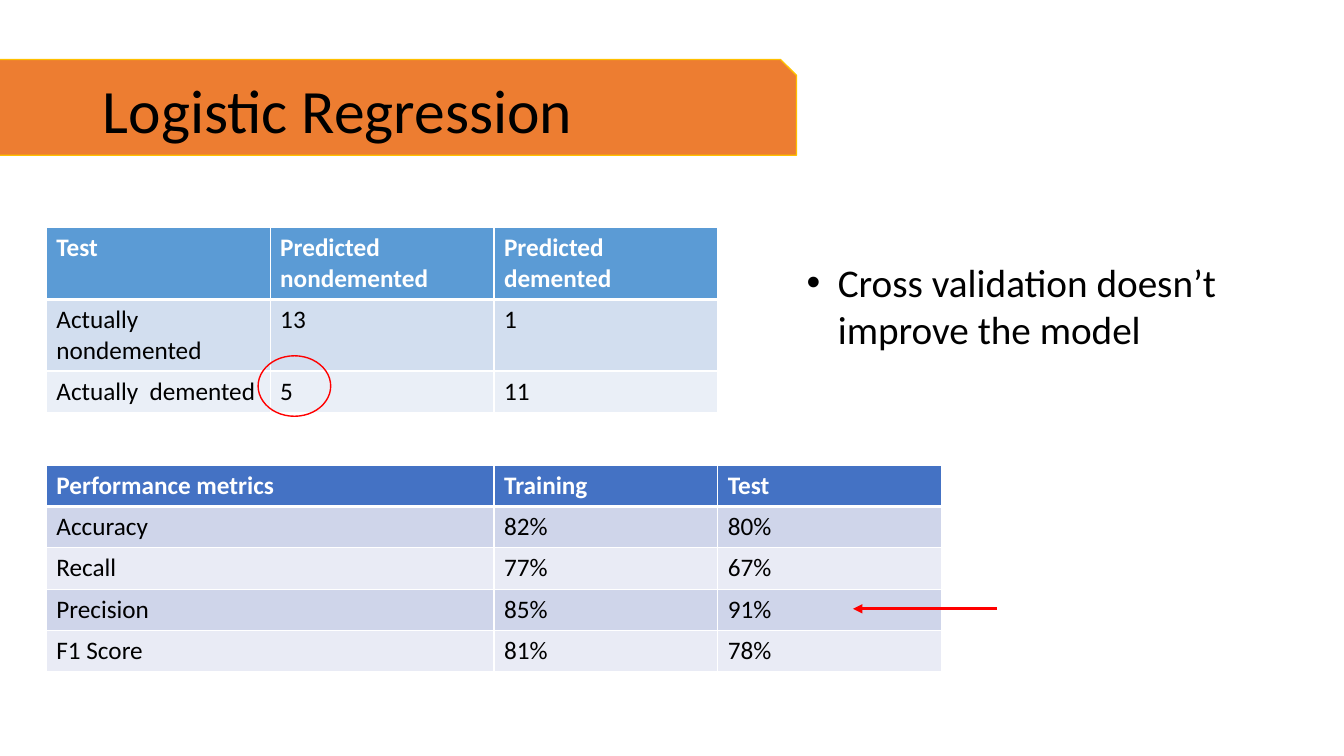
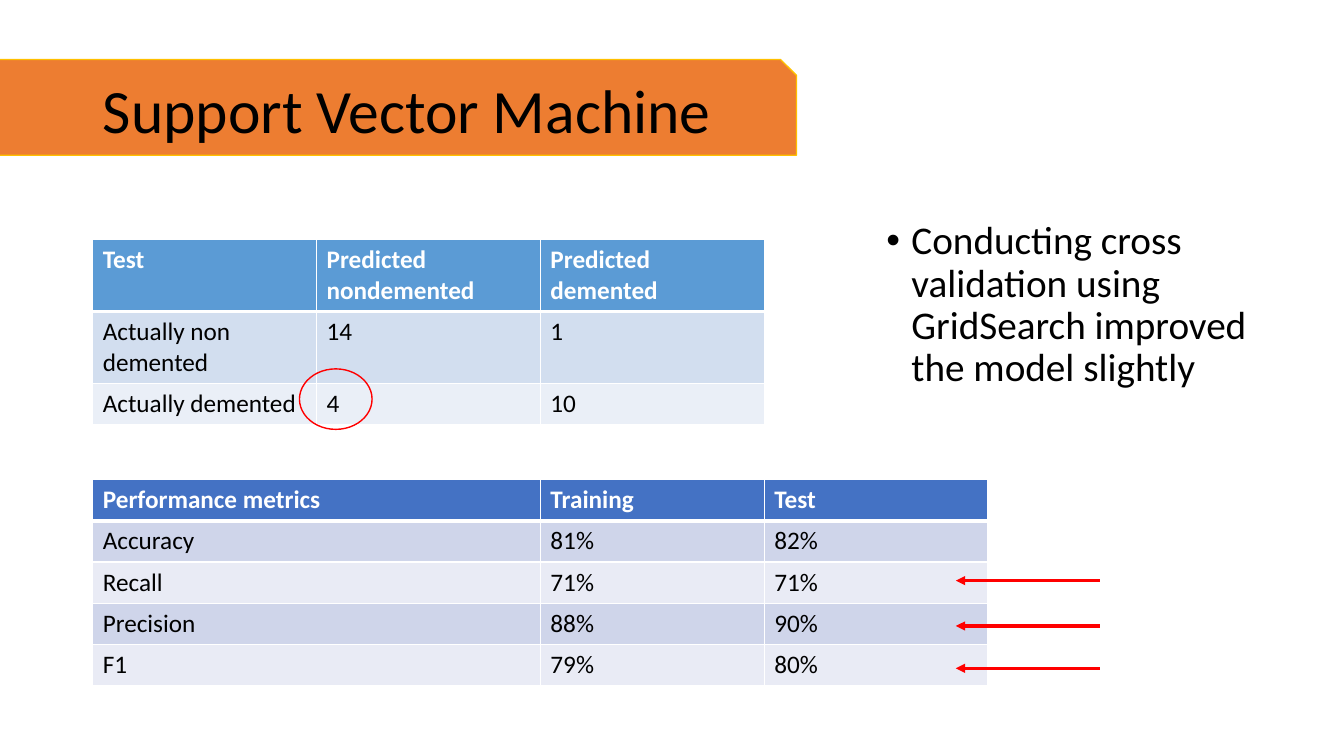
from dataclasses import dataclass

from lxml import etree
from pptx import Presentation
from pptx import util as u
from pptx.dml.color import RGBColor
from pptx.enum import shapes, text
from pptx.oxml import ns


@dataclass(frozen=True)
class Theme:
    font: str = "Calibri"
    ink: str = "000000"
    paper: str = "FFFFFF"
    band: str = "ED7D31"
    band_edge: str = "FFC000"
    mark: str = "FF0000"
    confusion: tuple = ("5B9BD5", "D2DEEF", "EAEFF7")
    metrics: tuple = ("4472C4", "CFD5EA", "E9EBF5")
    title_size: int = 44
    body_size: int = 28
    table_size: int = 18


class Deck:
    def __init__(self, theme):
        self.theme = theme
        self.prs = Presentation()
        self.prs.slide_width = u.Inches(13.33)
        self.prs.slide_height = u.Inches(7.5)
        self.s = None

    def run(self, p, content, size, color, bold=False):
        r = p.add_run()
        r.text = content
        r.font.name = self.theme.font
        r.font.size = u.Pt(size)
        r.font.bold = bold
        r.font.color.rgb = RGBColor.from_string(color)

    def place(self, sp, *box):
        sp.left, sp.top, sp.width, sp.height = map(u.Inches, box)

    def shape(self, kind, box, line, fill=None):
        sp = self.s.shapes.add_shape(kind, *map(u.Inches, box))
        sp.shadow.inherit = False
        if fill:
            sp.fill.solid()
            sp.fill.fore_color.rgb = RGBColor.from_string(fill)
        else:
            sp.fill.background()
        sp.line.color.rgb = RGBColor.from_string(line)
        sp.line.width = u.Pt(1)
        return sp

    def slide(self, title):
        self.s = self.prs.slides.add_slide(self.prs.slide_layouts[1])
        band = self.shape(shapes.MSO_SHAPE.SNIP_ROUND_RECTANGLE, (-0.9, 0.59, 8.8, 0.95),
                          self.theme.band_edge, self.theme.band)
        sp = self.s.shapes.title
        band.element.addnext(sp.element)
        self.place(sp, 0.92, 0.4, 11.5, 1.45)
        tf = sp.text_frame
        tf.auto_size = text.MSO_AUTO_SIZE.NONE
        tf.vertical_anchor = text.MSO_ANCHOR.MIDDLE
        p = tf.paragraphs[0]
        p.alignment = text.PP_ALIGN.LEFT
        p.line_spacing = 0.9
        self.run(p, title, self.theme.title_size, self.theme.ink)

    def bullet(self, content, box, indent, spacing):
        sp = self.s.placeholders[1]
        self.place(sp, *box)
        tf = sp.text_frame
        tf.auto_size = text.MSO_AUTO_SIZE.NONE
        p = tf.paragraphs[0]
        p.line_spacing = spacing
        p.space_before = u.Pt(0)
        pPr = p._p.get_or_add_pPr()
        pPr.set("marL", str(u.Inches(indent)))
        pPr.set("indent", str(-u.Inches(indent)))
        etree.SubElement(pPr, ns.qn("a:buChar"), char="•")
        self.run(p, content, self.theme.body_size, self.theme.ink)

    def borders(self, cell, top, bottom):
        tcPr = cell._tc.get_or_add_tcPr()
        for i, (side, width) in enumerate((("L", 1), ("R", 1), ("T", top), ("B", bottom))):
            ln = etree.Element(ns.qn(f"a:ln{side}"), w=str(u.Pt(width)))
            fill = etree.SubElement(ln, ns.qn("a:solidFill"))
            etree.SubElement(fill, ns.qn("a:srgbClr"), val=self.theme.paper)
            tcPr.insert(i, ln)

    def table(self, left, top, widths, heights, fills, rows):
        box = (left, top, sum(widths), sum(heights))
        tbl = self.s.shapes.add_table(len(rows), len(widths), *map(u.Inches, box)).table
        for col, width in zip(tbl.columns, widths):
            col.width = u.Inches(width)
        for i, (row, values) in enumerate(zip(tbl.rows, rows)):
            row.height = u.Inches(heights[i])
            header = i == 0
            fill = fills[0] if header else fills[2 - i % 2]
            color = self.theme.paper if header else self.theme.ink
            for cell, value in zip(row.cells, values):
                cell.fill.solid()
                cell.fill.fore_color.rgb = RGBColor.from_string(fill)
                self.borders(cell, 3 if i == 1 else 1, 3 if header else 1)
                self.run(cell.text_frame.paragraphs[0], value, self.theme.table_size, color, header)

    def confusion_table(self, left, top, *rows):
        header = ("Test", "Predicted nondemented", "Predicted demented")
        self.table(left, top, [2.22] * 3, [0.7, 0.7, 0.41], self.theme.confusion, (header, *rows))

    def metrics_table(self, left, top, *rows):
        header = ("Performance metrics", "Training", "Test")
        self.table(left, top, [4.44, 2.22, 2.22], [0.4] + [0.41] * 4, self.theme.metrics,
                   (header, *rows))

    def circle(self, left, top):
        self.shape(shapes.MSO_SHAPE.OVAL, (left, top, 0.72, 0.6), self.theme.mark)

    def arrow(self, tip, y):
        cx = self.s.shapes.add_connector(shapes.MSO_CONNECTOR.STRAIGHT,
                                         *map(u.Inches, (tip + 1.43, y, tip, y)))
        cx.line.color.rgb = RGBColor.from_string(self.theme.mark)
        cx.line.width = u.Pt(2.25)
        etree.SubElement(cx.line._get_or_add_ln(), ns.qn("a:tailEnd"), type="triangle")
        etree.SubElement(cx.element.spPr, ns.qn("a:effectLst"))


def main():
    deck = Deck(Theme())

    deck.slide("Logistic Regression")
    deck.bullet("Cross validation doesn’t improve the model", (7.9, 2.51, 4.87, 1.04), 0.31, 1.0)
    deck.confusion_table(0.46, 2.26,
                         ("Actually nondemented", "13", "1"),
                         ("Actually  demented", "5", "11"))
    deck.metrics_table(0.46, 4.62,
                       ("Accuracy", "82%", "80%"),
                       ("Recall", "77%", "67%"),
                       ("Precision", "85%", "91%"),
                       ("F1 Score", "81%", "78%"))
    deck.circle(2.56, 3.53)
    deck.arrow(8.46, 6.04)

    deck.slide("Support Vector Machine")
    deck.bullet("Conducting cross validation using GridSearch improved the model slightly",
                (8.69, 2.14, 3.88, 4.76), 0.25, 0.9)
    deck.confusion_table(0.92, 2.38,
                         ("Actually non demented", "14", "1"),
                         ("Actually demented", "4", "10"))
    deck.metrics_table(0.92, 4.76,
                       ("Accuracy", "81%", "82%"),
                       ("Recall", "71%", "71%"),
                       ("Precision", "88%", "90%"),
                       ("F1", "79%", "80%"))
    deck.circle(2.97, 3.66)
    for y in (5.76, 6.21, 6.63):
        deck.arrow(9.48, y)

    deck.prs.save("out.pptx")


if __name__ == "__main__":
    main()
